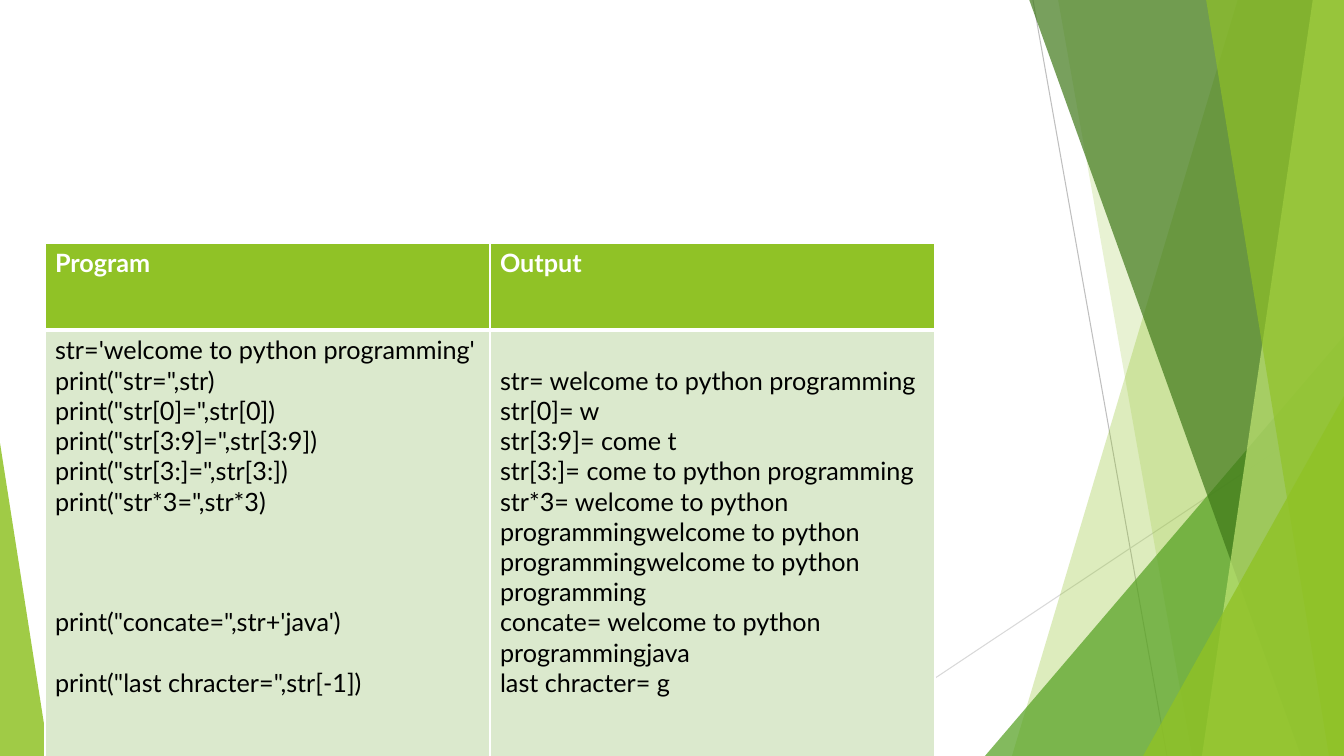
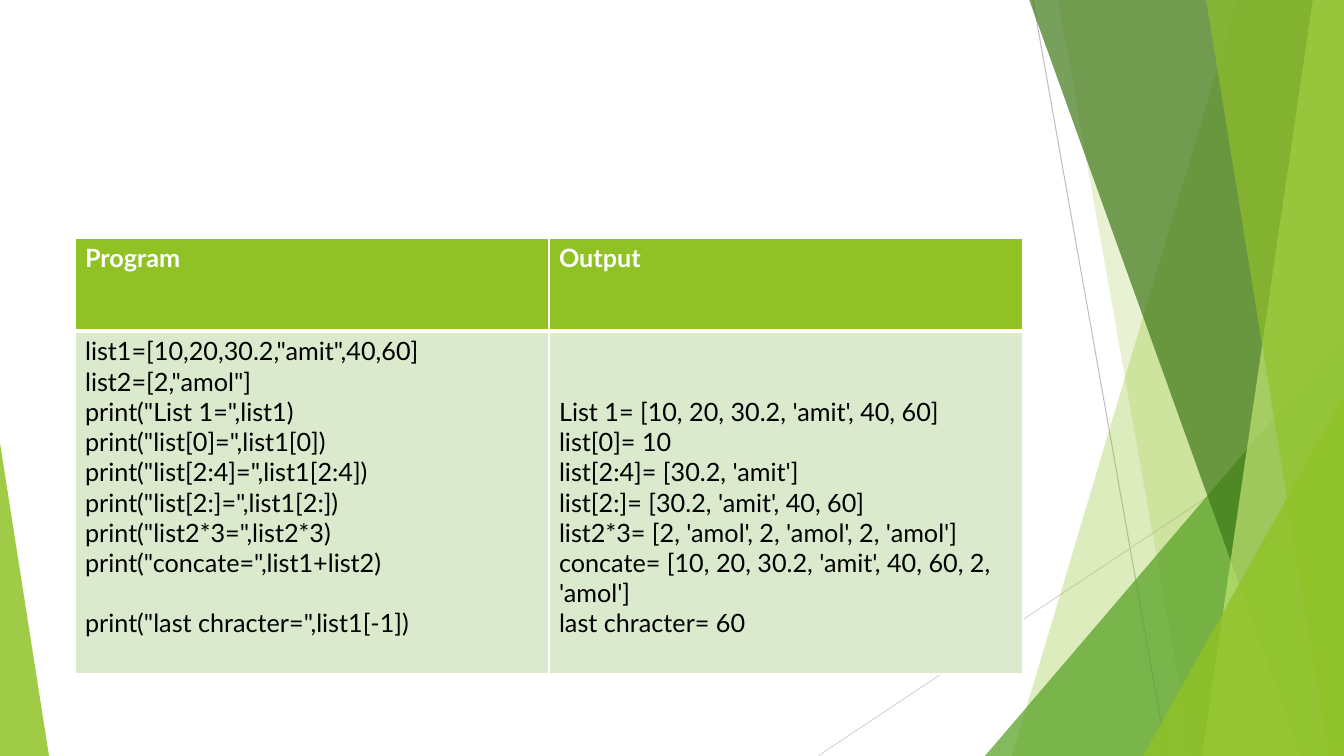
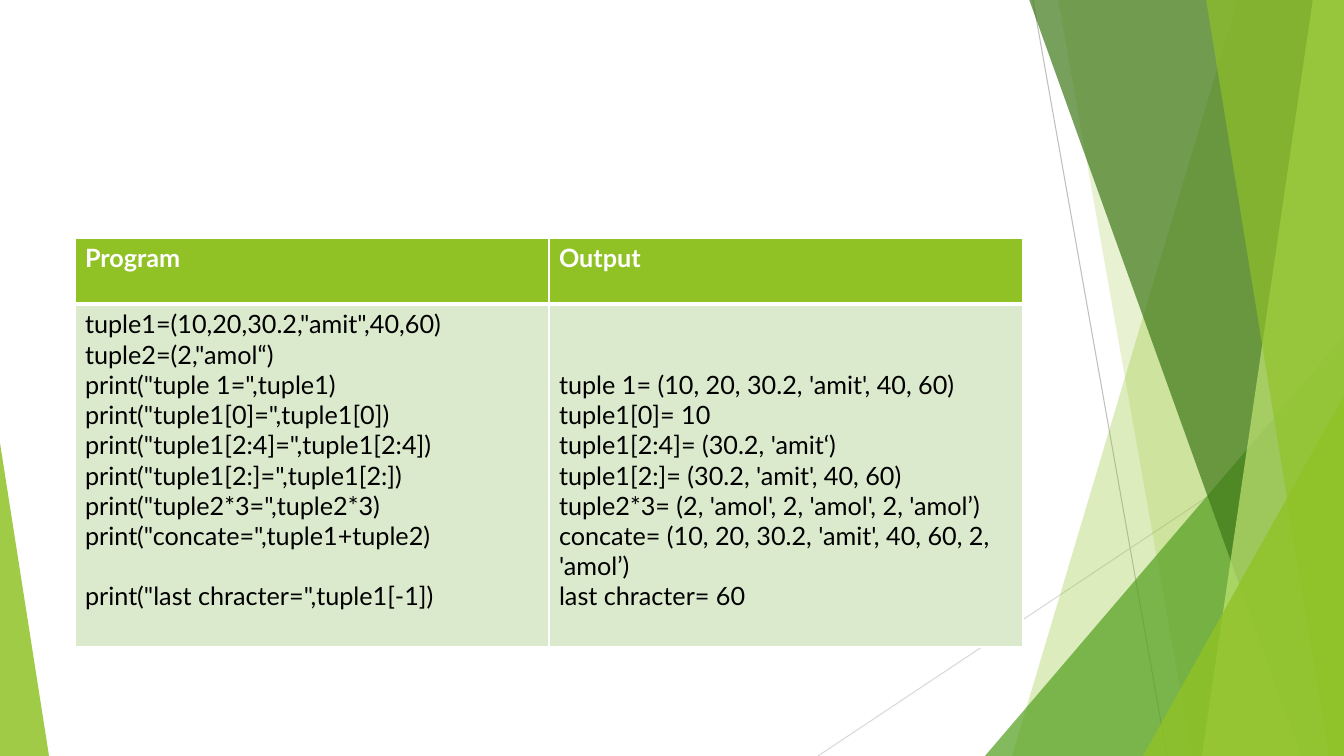
from collections import namedtuple

from lxml.etree import SubElement
from pptx import Presentation
from pptx.dml.color import RGBColor
from pptx.enum.shapes import MSO_CONNECTOR, MSO_SHAPE
from pptx.oxml.ns import qn
from pptx.util import Pt

Box = namedtuple("Box", "left top width height")

EMU_PER_PX = 12192000 / 1344
PAGE = Box(0, 0, 1344, 756)
COLOURS = {
    "white": "FFFFFF",
    "black": "000000",
    "lime": "90C226",
    "green": "54A021",
    "forest": "3F7819",
    "pale lime": "C0E474",
    "mint": "DBE9CD",
    "grey": "BFBFBF",
    "light grey": "D9D9D9",
}
FORMATS = {
    "header": {"name": "Lato", "size": Pt(18), "bold": True},
    "body": {"name": "Lato", "size": Pt(18), "bold": False},
}
LINE_HEIGHT = Pt(21.6)
CELL_MARGIN = 5

# Rays: start, end, colour
RAYS = [
    ((1033, 0), (1167, 756), "grey"),
    ((1344, 406), (818, 756), "light grey"),
]
# Facets, back to front: a band is (top x, bottom x) and runs to the right edge;
# a wedge is (box, apex position)
FACETS = [
    ("band", (1238, 1012), "lime", 30),
    ("band", (1058, 1192), "lime", 20),
    ("wedge", (Box(985, 336, 359, 420), 1), "green", 72),
    ("band", (1029, 1301), "forest", 70),
    ("band", (1313, 1202), "pale lime", 70),
    ("band", (1206, 1329), "lime", 65),
    ("wedge", (Box(1143, 396, 201, 360), 1), "lime", 80),
    ("wedge", (Box(0, 443, 49, 313), 0), "lime", 85),
]

# An empty string is a skipped line
SLIDES = [
    {
        "box": Box(45, 243, 890, 520),
        "header_height": 87,
        "program": [
            "str='welcome to python programming'",
            'print("str=",str)',
            'print("str[0]=",str[0])',
            'print("str[3:9]=",str[3:9])',
            'print("str[3:]=",str[3:])',
            'print("str*3=",str*3)',
            "", "", "",
            "print(\"concate=\",str+'java')",
            "",
            'print("last chracter=",str[-1])',
        ],
        "output": [
            "",
            "str= welcome to python programming",
            "str[0]= w",
            "str[3:9]= come t",
            "str[3:]= come to python programming",
            "str*3= " + "welcome to python programming" * 3,
            "concate= welcome to python programmingjava",
            "last chracter= g",
        ],
    },
    {
        "box": Box(75, 238, 948, 436),
        "header_height": 93,
        "program": [
            'list1=[10,20,30.2,"amit",40,60]',
            'list2=[2,"amol"]',
            'print("List 1=",list1)',
            'print("list[0]=",list1[0])',
            'print("list[2:4]=",list1[2:4])',
            'print("list[2:]=",list1[2:])',
            'print("list2*3=",list2*3)',
            'print("concate=",list1+list2)',
            "",
            'print("last chracter=",list1[-1])',
        ],
        "output": [
            "", "",
            "List 1= [10, 20, 30.2, 'amit', 40, 60]",
            "list[0]= 10",
            "list[2:4]= [30.2, 'amit']",
            "list[2:]= [30.2, 'amit', 40, 60]",
            "list2*3= [2, 'amol', 2, 'amol', 2, 'amol']",
            "concate= [10, 20, 30.2, 'amit', 40, 60, 2, 'amol']",
            "last chracter= 60",
        ],
    },
    {
        "box": Box(75, 238, 948, 409),
        "header_height": 66,
        "program": [
            'tuple1=(10,20,30.2,"amit",40,60)',
            'tuple2=(2,"amol“)',
            'print("tuple 1=",tuple1)',
            'print("tuple1[0]=",tuple1[0])',
            'print("tuple1[2:4]=",tuple1[2:4])',
            'print("tuple1[2:]=",tuple1[2:])',
            'print("tuple2*3=",tuple2*3)',
            'print("concate=",tuple1+tuple2)',
            "",
            'print("last chracter=",tuple1[-1])',
        ],
        "output": [
            "", "",
            "tuple 1= (10, 20, 30.2, 'amit', 40, 60)",
            "tuple1[0]= 10",
            "tuple1[2:4]= (30.2, 'amit‘)",
            "tuple1[2:]= (30.2, 'amit', 40, 60)",
            "tuple2*3= (2, 'amol', 2, 'amol', 2, 'amol’)",
            "concate= (10, 20, 30.2, 'amit', 40, 60, 2, 'amol’)",
            "last chracter= 60",
        ],
    },
]


def px(length):
    return round(length * EMU_PER_PX)


def colour(name):
    return RGBColor.from_string(COLOURS[name])


def add_ray(shapes, box, start, end, colour_name):
    ray = shapes.add_connector(
        MSO_CONNECTOR.STRAIGHT,
        px(box.left + start[0]), px(box.top + start[1]),
        px(box.left + end[0]), px(box.top + end[1]))
    ray.line.width = Pt(0.75)
    ray.line.color.rgb = colour(colour_name)
    SubElement(ray.element.spPr, qn("a:effectLst"))


def add_band(shapes, box, top_x, bottom_x):
    """Sloping left edge, filled out to the right side of the box."""
    right, top, bottom = box.left + box.width, box.top - 1, box.top + box.height
    outline = shapes.build_freeform(box.left + top_x, top, scale=EMU_PER_PX)
    outline.add_line_segments(
        [(right, top), (right, bottom), (box.left + bottom_x, bottom)], close=True)
    return outline.convert_to_shape()


def add_wedge(shapes, box, place, apex):
    wedge = shapes.add_shape(
        MSO_SHAPE.ISOSCELES_TRIANGLE, px(box.left + place.left),
        px(box.top + place.top), px(place.width), px(place.height))
    wedge.adjustments[0] = apex
    return wedge


def paint(shape, colour_name, opacity):
    shape.shadow.inherit = False
    shape.line.fill.background()
    shape.fill.solid()
    shape.fill.fore_color.rgb = colour(colour_name)
    tint = shape.element.spPr.find(".//" + qn("a:srgbClr"))
    SubElement(tint, qn("a:alpha"), val=str(opacity * 1000))


def add_backdrop(shapes, box):
    group = shapes.add_group_shape()
    for start, end, colour_name in RAYS:
        add_ray(group.shapes, box, start, end, colour_name)
    builders = {"band": add_band, "wedge": add_wedge}
    for kind, geometry, colour_name, opacity in FACETS:
        paint(builders[kind](group.shapes, box, *geometry), colour_name, opacity)
    return group


def share_backdrop(layout, page):
    """Move the backdrop from a page to the layout that all pages use."""
    for placeholder in list(layout.placeholders):
        placeholder.element.getparent().remove(placeholder.element)
    layout.shapes.element.append(add_backdrop(page.shapes, PAGE).element)


def add_borders(cell, widths):
    properties = cell._tc.get_or_add_tcPr()
    for side, width in zip("LRTB", widths):
        line = SubElement(properties, qn("a:ln" + side), w=str(Pt(width)))
        fill = SubElement(line, qn("a:solidFill"))
        SubElement(fill, qn("a:srgbClr"), val=COLOURS["white"])


def write_lines(cell, lines, format_name, colour_name):
    """One paragraph a line; skipped lines become margin or space before."""
    frame = cell.text_frame
    skipped, para = 0, None
    for text in lines:
        if not text:
            skipped += 1
            continue
        if para is None:
            para = frame.paragraphs[0]
            cell.margin_top = px(CELL_MARGIN) + skipped * LINE_HEIGHT
        else:
            para = frame.add_paragraph()
            para.space_before = skipped * LINE_HEIGHT
        skipped = 0
        span = para.add_run()
        span.text = text
        span.font.color.rgb = colour(colour_name)
        for attribute, value in FORMATS[format_name].items():
            setattr(span.font, attribute, value)


def fill_row(cells, contents, borders, fill_name, format_name, colour_name):
    for cell, lines in zip(cells, contents):
        add_borders(cell, borders)
        cell.fill.solid()
        cell.fill.fore_color.rgb = colour(fill_name)
        write_lines(cell, lines, format_name, colour_name)


def add_listing(page, box, header_height, program, output):
    """Table with a program on the left and what it prints on the right."""
    table = page.shapes.add_table(2, 2, *map(px, box)).table
    table.horz_banding = False
    for column in table.columns:
        column.width = px(box.width / 2)
    for row, height in zip(table.rows, (header_height, box.height - header_height)):
        row.height = px(height)
    header, body = (row.cells for row in table.rows)
    fill_row(header, (["Program"], ["Output"]), (1, 1, 1, 3), "lime", "header", "white")
    fill_row(body, (program, output), (1, 1, 3, 1), "mint", "body", "black")


def main():
    deck = Presentation()
    deck.slide_width, deck.slide_height = px(PAGE.width), px(PAGE.height)
    blank = deck.slide_layouts[6]
    pages = [deck.slides.add_slide(blank) for _ in SLIDES]
    share_backdrop(blank, pages[0])
    for page, listing in zip(pages, SLIDES):
        add_listing(page, **listing)
    deck.save("out.pptx")


if __name__ == "__main__":
    main()
